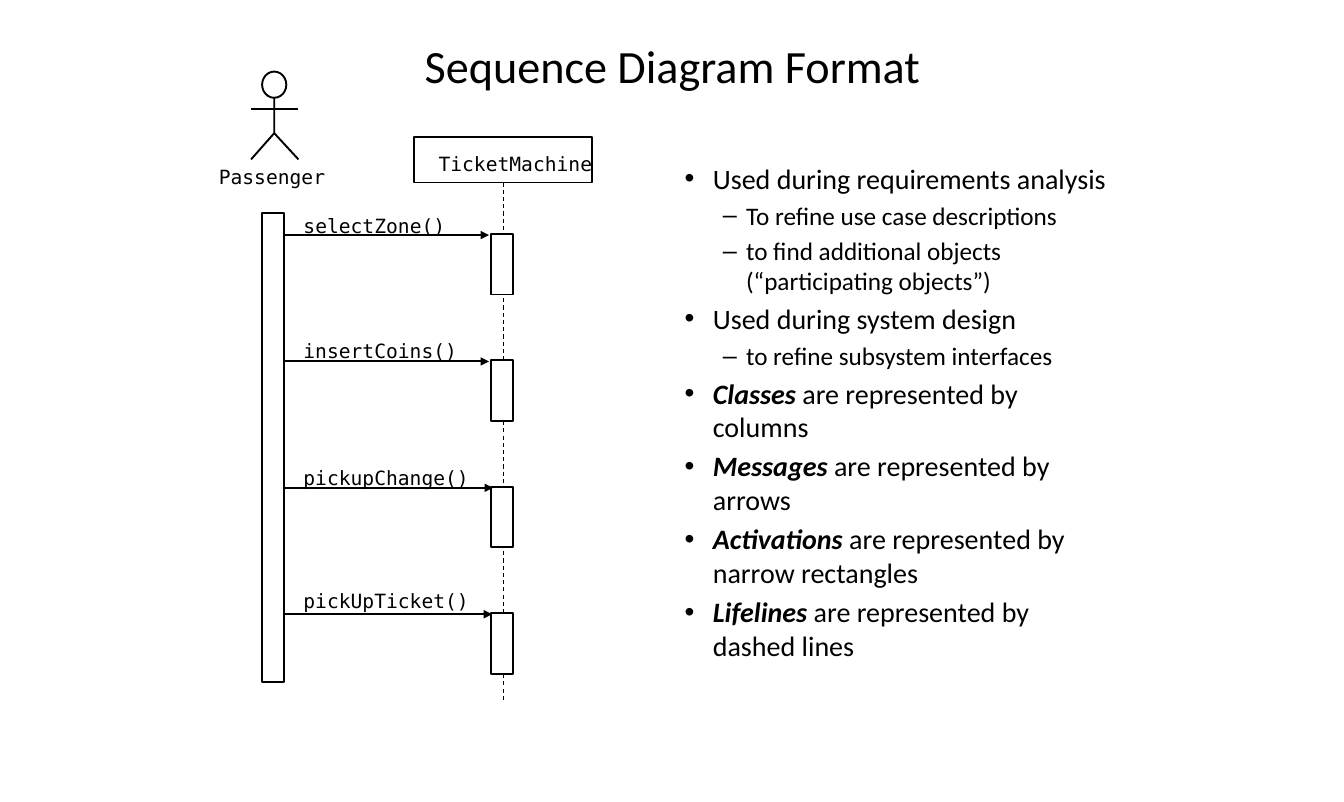
from dataclasses import dataclass

from lxml.etree import SubElement
from pptx import Presentation
from pptx.dml.color import RGBColor
from pptx.enum.dml import MSO_LINE
from pptx.enum.shapes import MSO_CONNECTOR, MSO_SHAPE
from pptx.enum.text import MSO_ANCHOR, MSO_AUTO_SIZE, PP_ALIGN
from pptx.oxml.ns import qn
from pptx.util import Inches, Pt


@dataclass(frozen=True)
class Theme:
    ink: RGBColor = RGBColor(0, 0, 0)
    paper: RGBColor = RGBColor(255, 255, 255)
    text_font: str = "Calibri"
    code_font: str = "DejaVu Sans Mono"
    title: float = 33
    body: tuple = (20, 18)
    code: float = 14
    line: float = 1.37
    thin: float = 0.75


@dataclass(frozen=True)
class Message:
    text: str
    label_top: float
    start: float
    tip: float


@dataclass(frozen=True)
class Bullet:
    text: str
    level: int = 0
    term: str = ""


THEME = Theme()
INDENTS = ((0.28, -0.28), (0.61, -0.23))
CHAR_WIDTH = 0.118
FIRST_CALL, CALL_STEP = 2.32, 1.253
BAR_WIDTH = 0.22

MESSAGES = (
    Message("selectZone()", 2.12, 2.81, 4.85),
    Message("insertCoins()", 3.36, 2.83, 4.85),
    Message("pickupChange()", 4.62, 2.83, 4.89),
    Message("pickUpTicket()", 5.84, 2.81, 4.88),
)
BULLETS = (
    Bullet("Used during requirements analysis"),
    Bullet("To refine use case descriptions", 1),
    Bullet("to find additional objects (“participating objects”)", 1),
    Bullet("Used during system design"),
    Bullet("to refine subsystem interfaces", 1),
    Bullet(" are represented by columns", term="Classes"),
    Bullet(" are represented by arrows", term="Messages"),
    Bullet(" are represented by narrow rectangles", term="Activations"),
    Bullet(" are represented by dashed lines", term="Lifelines"),
)

prs = Presentation()
prs.slide_width, prs.slide_height = Inches(13.33), Inches(7.95)
s = prs.slides.add_slide(prs.slide_layouts[1])


def style_font(font, name: str, size: float) -> None:
    font.name, font.size = name, Pt(size)
    font.color.rgb = THEME.ink


def style_line(line, width: float = THEME.line) -> None:
    line.color.rgb = THEME.ink
    line.width = Pt(width)


def place(sp, left: float, top: float, width: float, height: float) -> None:
    sp.left, sp.top = Inches(left), Inches(top)
    sp.width, sp.height = Inches(width), Inches(height)
    sp.text_frame.auto_size = MSO_AUTO_SIZE.NONE
    sp.text_frame.vertical_anchor = MSO_ANCHOR.TOP


def add_outline(kind, left: float, top: float, width: float, height: float,
                filled: bool = True) -> None:
    sp = s.shapes.add_shape(kind, Inches(left), Inches(top), Inches(width), Inches(height))
    sp.shadow.inherit = False
    if filled:
        sp.fill.solid()
        sp.fill.fore_color.rgb = THEME.paper
    else:
        sp.fill.background()
    style_line(sp.line)


def add_line(x1: float, y1: float, x2: float, y2: float, width: float = THEME.line,
             dashed: bool = False, arrow: bool = False) -> None:
    sp = s.shapes.add_connector(MSO_CONNECTOR.STRAIGHT, Inches(x1), Inches(y1),
                                Inches(x2), Inches(y2))
    style_line(sp.line, width)
    if dashed:
        sp.line.dash_style = MSO_LINE.DASH
    if arrow:
        SubElement(sp.line._get_or_add_ln(), qn("a:tailEnd"), type="triangle")
    SubElement(sp._element.spPr, qn("a:effectLst"))


def add_label(text: str, left: float, top: float) -> None:
    sp = s.shapes.add_textbox(Inches(left), Inches(top),
                              Inches(len(text) * CHAR_WIDTH), Inches(0.25))
    tf = sp.text_frame
    tf.word_wrap = False
    tf.margin_left = tf.margin_right = tf.margin_top = tf.margin_bottom = 0
    p = tf.paragraphs[0]
    p.text = text
    style_font(p.font, THEME.code_font, THEME.code)


def add_bullet(p, bullet: Bullet, first: bool) -> None:
    size = THEME.body[bullet.level]
    p.level = bullet.level
    p.space_before = Pt(0 if first else size / 5)
    style_font(p.font, THEME.text_font, size)
    margin, indent = INDENTS[bullet.level]
    pPr = p._p.get_or_add_pPr()
    pPr.set("marL", str(Inches(margin)))
    pPr.set("indent", str(Inches(indent)))
    if bullet.term:
        r = p.add_run()
        r.text = bullet.term
        r.font.bold = r.font.italic = True
    p.add_run().text = bullet.text


# Title
title = s.shapes.title
place(title, 2.17, 0.32, 9, 1.33)
p = title.text_frame.paragraphs[0]
p.text = "Sequence Diagram Format"
p.alignment = PP_ALIGN.CENTER
style_font(p.font, THEME.text_font, THEME.title)

# Explanations
body = s.placeholders[1]
place(body, 6.69, 1.55, 4.43, 5.57)
tf = body.text_frame
for i, bullet in enumerate(BULLETS):
    add_bullet(tf.paragraphs[0] if i == 0 else tf.add_paragraph(), bullet, i == 0)

# Passenger: body with left leg, right leg, arms, head
builder = s.shapes.build_freeform(Inches(2.72), Inches(0.89))
builder.add_line_segments([(Inches(2.72), Inches(1.32)), (Inches(2.49), Inches(1.58))],
                          close=False)
torso = builder.convert_to_shape()
torso.shadow.inherit = False
torso.fill.background()
style_line(torso.line)
add_line(2.72, 1.32, 2.96, 1.58)
add_line(2.49, 1.08, 2.96, 1.08)
add_outline(MSO_SHAPE.OVAL, 2.6, 0.71, 0.24, 0.26)
add_label("Passenger", 2.17, 1.63)
add_outline(MSO_SHAPE.RECTANGLE, 2.6, 2.11, BAR_WIDTH, 4.65)

# Ticket machine and its lifeline
add_outline(MSO_SHAPE.RECTANGLE, 4.11, 1.36, 1.76, 0.45, filled=False)
add_label("TicketMachine", 4.35, 1.51)
add_line(4.99, 1.81, 4.99, 6.95, THEME.thin, dashed=True)

# Messages and activations
for i, message in enumerate(MESSAGES):
    y = FIRST_CALL + i * CALL_STEP
    add_outline(MSO_SHAPE.RECTANGLE, 4.87, y, BAR_WIDTH, 0.6)
    add_line(message.start, y + 0.01, message.tip, y + 0.01, arrow=True)
    add_label(message.text, 3.01, message.label_top)

prs.save("out.pptx")
